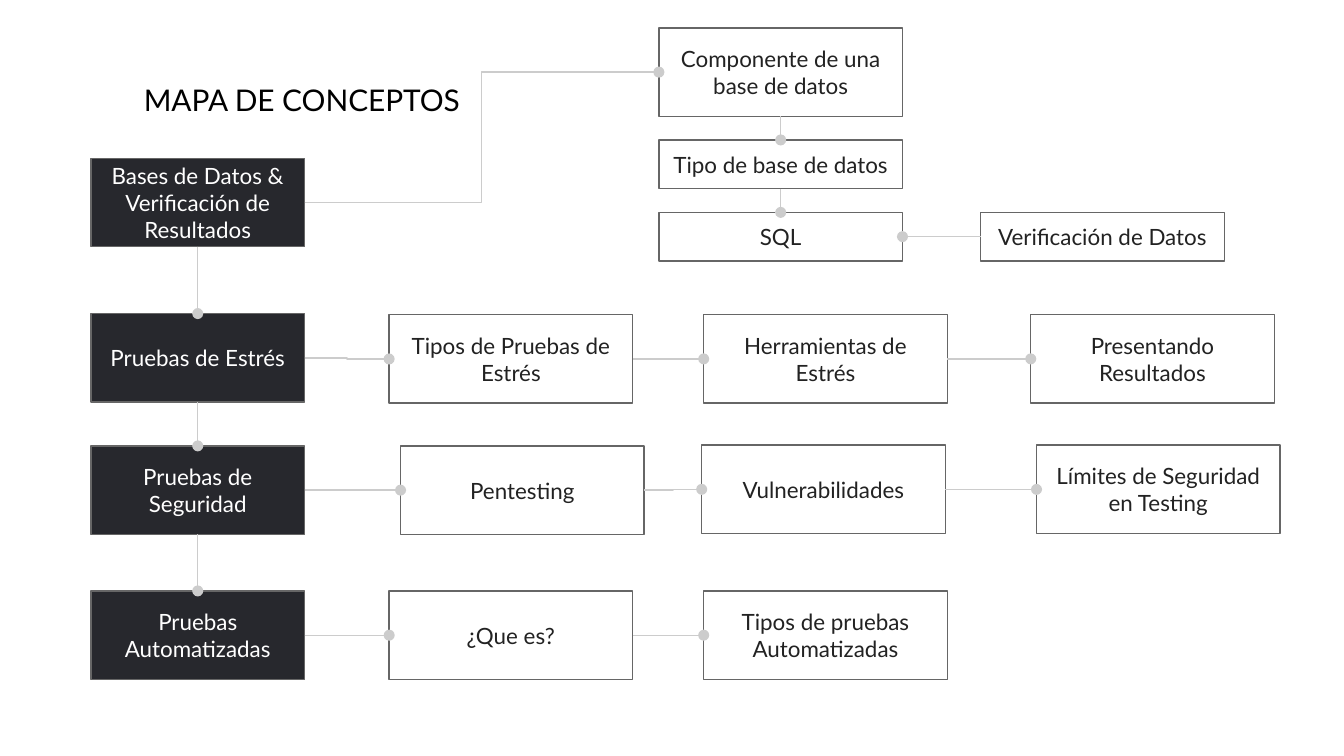
"""Build a concept map of testing topics as linked boxes."""
from lxml import etree
from pptx import Presentation
from pptx.dml.color import RGBColor
from pptx.enum.shapes import MSO_CONNECTOR, MSO_SHAPE
from pptx.enum.text import MSO_ANCHOR, MSO_AUTO_SIZE, PP_ALIGN
from pptx.oxml.ns import qn
from pptx.util import Pt

RECT = MSO_SHAPE.RECTANGLE
ELBOW, STRAIGHT = MSO_CONNECTOR.ELBOW, MSO_CONNECTOR.STRAIGHT
MIDDLE, CENTER = MSO_ANCHOR.MIDDLE, PP_ALIGN.CENTER
GROW = MSO_AUTO_SIZE.SHAPE_TO_FIT_TEXT
TOP, LEFT, BOTTOM, RIGHT = range(4)

TITLE = "MAPA DE CONCEPTOS"
FONT = "Lato"
TALL, LOW = 47.4, 26
MAIN = {"x": 48.7, "w": 114.5, "fill": "27282D", "ink": "FFFFFF"}
SIDE = {"w": 130.5, "fill": "FFFFFF", "ink": "222222"}

TOPICS = [
    ("Bases de Datos & Verificación de Resultados", 84.8),
    ("Pruebas de Estrés", 168),
    ("Pruebas de Seguridad", 238.9),
    ("Pruebas Automatizadas", 316.6),
]
STACK_X = 353
STACK = [
    ("Componente de una base de datos", 15, TALL),
    ("Tipo de base de datos", 75, LOW),
    ("SQL", 113.8, LOW),
]
CHECK = ("Verificación de Datos", 525.4, 113.8)
ROWS = [
    [("Tipos de Pruebas de Estrés", 208.5, 168.6),
     ("Herramientas de Estrés", 377, 168.6),
     ("Presentando Resultados", 552.2, 168.6)],
    [("Pentesting", 214.6, 238.9),
     ("Vulnerabilidades", 375.9, 238.5),
     ("Límites de Seguridad en Testing", 555.3, 238.5)],
    [("¿Que es?", 208.5, 316.6),
     ("Tipos de pruebas Automatizadas", 377, 316.6)],
]


def color(code):
    """Return the colour for a hex string."""
    return RGBColor.from_string(code)


def write(shape, text, size, ink):
    """Put one run of text in a shape and return its paragraph."""
    frame = shape.text_frame
    frame.word_wrap = True
    frame.margin_left = frame.margin_right = Pt(7.2)
    frame.margin_top = frame.margin_bottom = Pt(7.2)
    para = frame.paragraphs[0]
    run = para.add_run()
    run.text = text
    run.font.name, run.font.size = FONT, Pt(size)
    run.font.color.rgb = color(ink)
    return para


def add_box(shapes, text, x, y, h, style):
    """Add one concept box."""
    box = shapes.add_shape(RECT, Pt(x), Pt(y), Pt(style["w"]), Pt(h))
    box.shadow.inherit = False
    box.fill.solid()
    box.fill.fore_color.rgb = color(style["fill"])
    box.line.color.rgb = color("666666")
    box.line.width = Pt(0.75)
    write(box, text, 12, style["ink"]).alignment = CENTER
    box.text_frame.vertical_anchor = MIDDLE
    return box


def link(shapes, start, end, out, into):
    """Join two boxes with a line that ends in a dot."""
    shift = start.top + start.height // 2 != end.top + end.height // 2
    kind = ELBOW if out in (LEFT, RIGHT) and shift else STRAIGHT
    line = shapes.add_connector(kind, 0, 0, 0, 0)
    line.begin_connect(start, out)
    line.end_connect(end, into)
    line.line.color.rgb = color("CCCCCC")
    line.line.width = Pt(0.75)
    props = line.line._get_or_add_ln()
    etree.SubElement(props, qn("a:tailEnd"), type="oval")
    etree.SubElement(line._element.spPr, qn("a:effectLst"))


def chain(shapes, boxes, out, into):
    """Link each box to the next one."""
    for start, end in zip(boxes, boxes[1:]):
        link(shapes, start, end, out, into)


def main():
    """Draw the map and save it."""
    deck = Presentation()
    deck.slide_width, deck.slide_height = Pt(720), Pt(405)
    shapes = deck.slides.add_slide(deck.slide_layouts[6]).shapes

    title = shapes.add_textbox(Pt(70), Pt(36.7), Pt(193.7), Pt(33.8))
    write(title, TITLE, 16, "000000")
    title.text_frame.auto_size = GROW

    topics = [add_box(shapes, text, MAIN["x"], y, TALL, MAIN)
              for text, y in TOPICS]
    stack = [add_box(shapes, text, STACK_X, y, h, SIDE)
             for text, y, h in STACK]
    check = add_box(shapes, *CHECK, LOW, SIDE)
    rows = [[add_box(shapes, *item, TALL, SIDE) for item in row]
            for row in ROWS]

    link(shapes, topics[0], stack[0], RIGHT, LEFT)
    link(shapes, check, stack[-1], LEFT, RIGHT)
    chain(shapes, stack, BOTTOM, TOP)
    chain(shapes, topics, BOTTOM, TOP)
    for topic, row in zip(topics[1:], rows):
        chain(shapes, [topic, *row], RIGHT, LEFT)

    deck.save("out.pptx")


if __name__ == "__main__":
    main()
